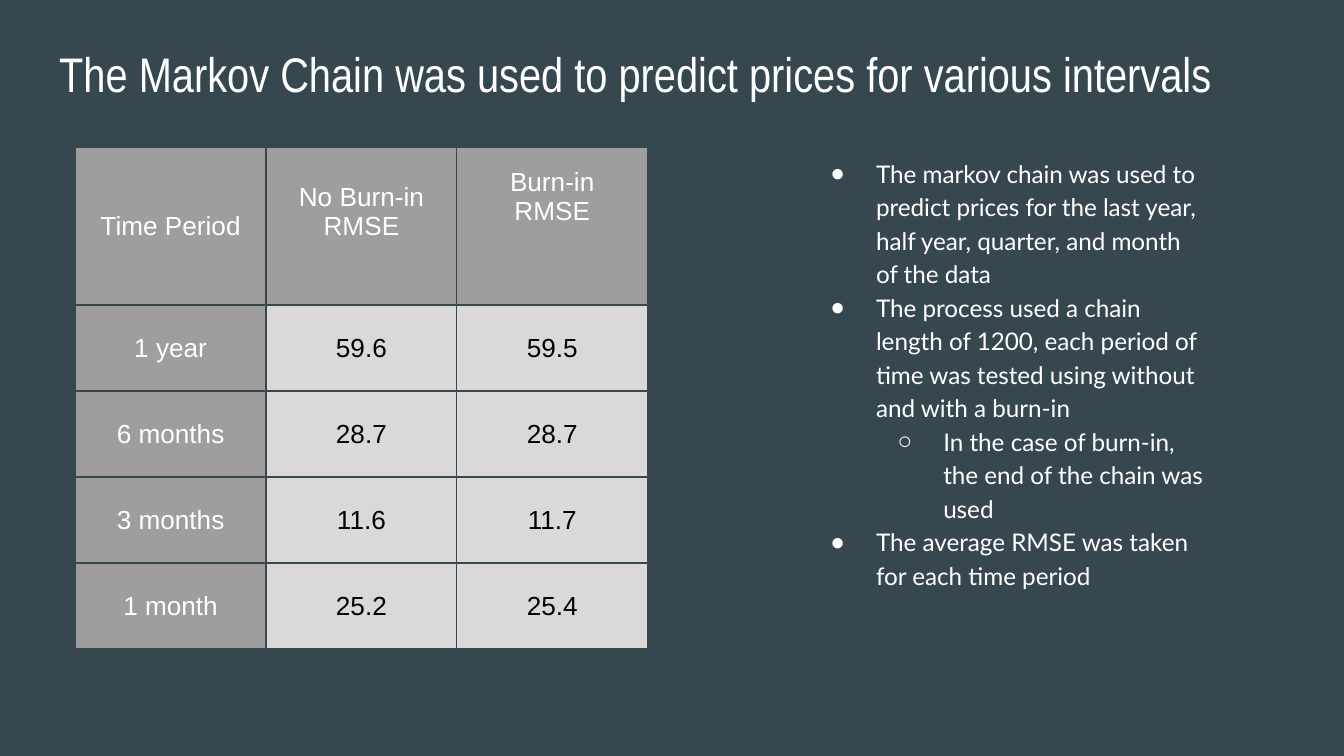
from lxml import etree
from pptx import Presentation
from pptx.dml.color import RGBColor
from pptx.enum.text import MSO_ANCHOR, MSO_AUTO_SIZE, PP_ALIGN
from pptx.oxml.ns import qn
from pptx.util import Inches, Pt

TOP, MIDDLE = MSO_ANCHOR.TOP, MSO_ANCHOR.MIDDLE
LEFT, CENTER = PP_ALIGN.LEFT, PP_ALIGN.CENTER
NO_AUTOFIT = MSO_AUTO_SIZE.NONE

COLORS = {
    "slate": "37474F",
    "white": "FFFFFF",
    "black": "000000",
    "header": "9E9E9E",
    "value": "D9D9D9",
}

SLIDE_W = 10
SLIDE_H = SLIDE_W * 9 / 16
TABLE_LEFT, TABLE_TOP = 0.56, 1.1
COLUMN_W, HEADER_H, ROW_H = 1.42, 1.17, 0.64
INSET = 0.1
HEADER_LIFT = 0.22  # extra bottom margin for each column to the right
INDENT, HANGING = 0.5, 0.34

TITLE = "The Markov Chain was used to predict prices for various intervals"
RMSE_ROWS = [
    ("Time Period", "No Burn-in RMSE", "Burn-in RMSE"),
    ("1 year", "59.6", "59.5"),
    ("6 months", "28.7", "28.7"),
    ("3 months", "11.6", "11.7"),
    ("1 month", "25.2", "25.4"),
]
NOTES = [
    (0, "The markov chain was used to predict prices for the last year, "
        "half year, quarter, and month of the data"),
    (0, "The process used a chain length of 1200, each period of time was "
        "tested using without and with a burn-in"),
    (1, "In the case of burn-in, the end of the chain was used"),
    (0, "The average RMSE was taken for each time period"),
]
BULLETS = "●○"


def rgb(name):
    return RGBColor.from_string(COLORS[name])


def format_runs(paragraph, font, size, color):
    for run in paragraph.runs:
        run.font.name = font
        run.font.size = Pt(size)
        run.font.color.rgb = rgb(color)


def prepare_frame(frame):
    frame.word_wrap = True
    frame.auto_size = NO_AUTOFIT
    frame.vertical_anchor = TOP
    frame.margin_left = frame.margin_right = Inches(INSET)
    frame.margin_top = frame.margin_bottom = Inches(INSET)


def add_title(slide):
    title = slide.shapes.title
    title.left, title.top = Inches(0.34), Inches(0.23)
    title.width, title.height = Inches(9.32), Inches(0.63)
    prepare_frame(title.text_frame)
    title.text_frame.text = TITLE
    heading = title.text_frame.paragraphs[0]
    heading.alignment = LEFT
    format_runs(heading, "Arial Narrow", 26, "white")


def set_borders(cell, color, width):
    properties = cell._tc.get_or_add_tcPr()
    for side in ("lnL", "lnR", "lnT", "lnB"):
        line = etree.SubElement(properties, qn(f"a:{side}"), w=str(Pt(width)))
        fill = etree.SubElement(line, qn("a:solidFill"))
        etree.SubElement(fill, qn("a:srgbClr"), val=COLORS[color])


def fill_cell(cell, text, row, column):
    is_label = row == 0 or column == 0
    set_borders(cell, "slate", 0.75)
    cell.fill.solid()
    cell.fill.fore_color.rgb = rgb("header" if is_label else "value")
    cell.vertical_anchor = MIDDLE
    cell.margin_left = cell.margin_right = Inches(0.12)
    cell.margin_top = Inches(INSET)
    lift = HEADER_LIFT * column if row == 0 else 0
    cell.margin_bottom = Inches(INSET + lift)
    cell.text_frame.text = text
    paragraph = cell.text_frame.paragraphs[0]
    paragraph.alignment = CENTER
    format_runs(paragraph, "Arial", 14, "white" if is_label else "black")


def add_rmse_table(slide):
    row_count, column_count = len(RMSE_ROWS), len(RMSE_ROWS[0])
    height = HEADER_H + ROW_H * (row_count - 1)
    table = slide.shapes.add_table(
        row_count, column_count, Inches(TABLE_LEFT), Inches(TABLE_TOP),
        Inches(COLUMN_W * column_count), Inches(height)).table
    for column in table.columns:
        column.width = Inches(COLUMN_W)
    for row, texts in enumerate(RMSE_ROWS):
        table.rows[row].height = Inches(ROW_H if row else HEADER_H)
        for column, text in enumerate(texts):
            fill_cell(table.cell(row, column), text, row, column)


def set_bullet(paragraph, level):
    properties = paragraph._p.get_or_add_pPr()
    properties.set("marL", str(Inches(INDENT * (level + 1))))
    properties.set("indent", str(-Inches(HANGING)))
    color = etree.SubElement(properties, qn("a:buClr"))
    etree.SubElement(color, qn("a:srgbClr"), val=COLORS["white"])
    etree.SubElement(properties, qn("a:buFont"), typeface="Arial")
    etree.SubElement(properties, qn("a:buChar"), char=BULLETS[level])


def add_notes(slide):
    frame = slide.shapes.add_textbox(
        Inches(5.92), Inches(1.05), Inches(3.15), Inches(3.52)).text_frame
    prepare_frame(frame)
    frame.text = "\n".join(text for _, text in NOTES)
    for paragraph, (level, _) in zip(frame.paragraphs, NOTES):
        paragraph.level = level
        paragraph.alignment = LEFT
        paragraph.line_spacing = 1.15
        set_bullet(paragraph, level)
        format_runs(paragraph, "Lato", 13, "white")


def main():
    deck = Presentation()
    deck.slide_width, deck.slide_height = Inches(SLIDE_W), Inches(SLIDE_H)
    slide = deck.slides.add_slide(deck.slide_layouts.get_by_name("Title Only"))
    slide.background.fill.solid()
    slide.background.fill.fore_color.rgb = rgb("slate")

    # Heading, error table on the left, explanation on the right
    add_title(slide)
    add_rmse_table(slide)
    add_notes(slide)
    deck.save("out.pptx")


if __name__ == "__main__":
    main()
